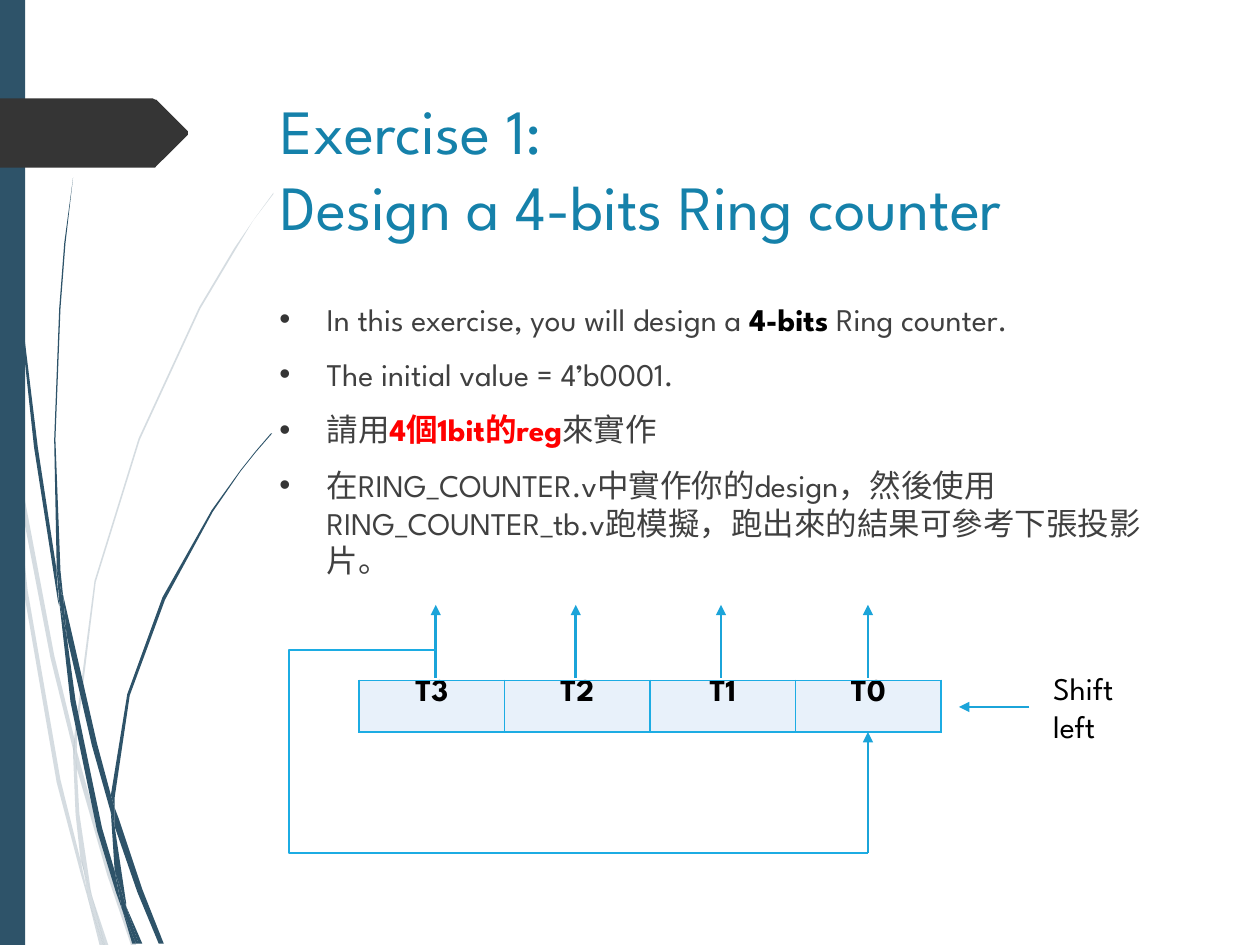
from pptx import Presentation as Deck
from pptx.dml.color import RGBColor as Rgb
from pptx.enum.shapes import MSO_CONNECTOR as Conn, MSO_SHAPE as Kind
from pptx.enum.text import PP_ALIGN as Align
from pptx.oxml.ns import qn
from pptx.util import Pt
from lxml.etree import SubElement as Sub

GRID = Pt(0.72)  # unit of the outline points below

# Outlines of the grass blades, "x,y" on the grid
PALE = [
    "8,350 6,322 0,282 0,299 7,344",
    "40,522 59,599 59,586 43,520 10,345 12,376",
    "64,607 61,596 61,610 85,694 104,750 108,750 88,692",
    "83,750 86,750 73,711",
    "64,683 48,619 22,469 12,376 8,350 19,470 45,621 64,693 70,714 69,707",
    "58,599 60,646 64,683 67,692 73,711 72,706 63,646 61,610 61,608",
    "61,584 76,462 111,349 159,245 187,198 201,175 217,154 217,153 201,175 "
    "186,197 158,244 110,348 75,461 59,584 59,586 61,596",
    "70,714 79,750 82,750",
    "61,608 61,610 61,596 59,586 58,599",
    "67,692 65,683 69,707 70,714 82,750 83,750 73,711",
]
DARK = [
    "5,110 14,233 27,355 46,477 47,481 45,457 45,453 30,355 15,232 6,109 "
    "4,48 3,0 2,0 3,48",
    "73,592 88,645 88,633 88,631 77,590 50,472 53,505",
    "94,649 91,641 91,656 109,708 126,749 130,749 113,706",
    "91,691 81,657 60,556 53,505 47,477 56,557 77,659 92,708 97,722 96,717",
    "50,472 48,453 44,349 48,245 52,193 58,141 51,193 47,245 43,349 45,449 "
    "49,472",
    "110,749 113,749 100,719",
    "47,477 53,505 50,472 49,472 45,449 45,453",
    "91,633 103,552 131,476 169,406 191,374 203,359 216,344 215,344 203,358 "
    "191,373 168,405 129,474 101,551 88,631 91,641",
    "97,722 105,749 108,749",
    "88,645 91,691 96,706 100,719 100,716 91,656 90,651",
    "88,645 90,651 91,656 91,641 88,631 88,633",
    "96,706 91,691 96,717 97,722 108,749 110,749 100,719",
]
TAG = "149,107 124,132 123,133 121,133 0,133 0,78 121,78 123,79 124,79 149,104"


def hue(code):
    return Rgb.from_string(code)


def put(obj, **vals):
    for name, val in vals.items():
        setattr(obj, name, val)


class Page:
    face = "League Spartan"
    blue, dark, ink = "1BA4D9", "2E5369", "353535"

    def __init__(self, slide):
        self.items = slide.shapes

    def paint(self, shape, code, alpha=None):
        shape.shadow.inherit = False
        shape.fill.solid()
        shape.fill.fore_color.rgb = hue(code)
        shape.line.fill.background()
        if alpha:
            clr = shape._element.spPr.find(".//" + qn("a:srgbClr"))
            Sub(clr, qn("a:alpha"), val=str(alpha * 1000))

    def bar(self, x, y, w, h, code):
        box = self.items.add_shape(Kind.RECTANGLE, Pt(x), Pt(y), Pt(w), Pt(h))
        self.paint(box, code)

    def shape(self, text, code, alpha=None, home=None):
        dots = [tuple(map(int, dot.split(","))) for dot in text.split()]
        pen = (home or self.items).build_freeform(*dots[0], scale=GRID)
        pen.add_line_segments(dots[1:], close=True)
        self.paint(pen.convert_to_shape(), code, alpha)

    def blades(self, texts, alpha=None):
        group = self.items.add_group_shape()
        for text in texts:
            self.shape(text, self.dark, alpha, group.shapes)

    def say(self, par, text, size, code="000000", bold=False):
        for num, part in enumerate(text.split("\n")):
            if num:
                par.add_line_break()
            run = par.add_run()
            run.text = part
            put(run.font, name=self.face, size=Pt(size), bold=bold)
            run.font.color.rgb = hue(code)

    def frame(self, x, y, w, h):
        box = self.items.add_textbox(Pt(x), Pt(y), Pt(w), Pt(h))
        box.text_frame.word_wrap = True
        return box.text_frame

    def label(self, x, y, w, h, text, size, code):
        self.say(self.frame(x, y, w, h).paragraphs[0], text, size, code)

    def points(self, x, y, w, h, rows):
        body = self.frame(x, y, w, h)
        for num, row in enumerate(rows):
            par = body.add_paragraph() if num else body.paragraphs[0]
            par.space_before = Pt(10)
            props = par._p.get_or_add_pPr()
            props.set("marL", str(Pt(27)))
            props.set("indent", str(Pt(-27)))
            Sub(Sub(props, qn("a:buClr")), qn("a:srgbClr"), val=self.ink)
            Sub(props, qn("a:buFont"), typeface="Arial")
            Sub(props, qn("a:buChar"), char="•")
            for text, code, bold in row:
                self.say(par, text, 18, code, bold)

    def table(self, x, y, w, h, names):
        spot = [Pt(v) for v in (x, y, w, h)]
        grid = self.items.add_table(1, len(names), *spot).table
        put(grid, first_row=False, horz_banding=False)
        for num, name in enumerate(names):
            cell = grid.cell(0, num)
            props = cell._tc.get_or_add_tcPr()
            for side in ("lnL", "lnR", "lnT", "lnB"):
                edge = Sub(props, qn("a:" + side), w=str(Pt(1)))
                Sub(Sub(edge, qn("a:solidFill")), qn("a:srgbClr"), val="1CACE3")
            cell.fill.solid()
            cell.fill.fore_color.rgb = hue("E8F1FA")
            put(cell, margin_top=0, margin_bottom=0)
            par = cell.text_frame.paragraphs[0]
            put(par, alignment=Align.CENTER, line_spacing=0.9)
            self.say(par, name, 18, bold=True)

    def line(self, x1, y1, x2, y2, kind=Conn.STRAIGHT, width=1.5, code=blue):
        wire = self.items.add_connector(kind, Pt(x1), Pt(y1), Pt(x2), Pt(y2))
        wire.line.width = Pt(width)
        wire.line.color.rgb = hue(code)
        Sub(wire._element.spPr, qn("a:effectLst"))
        return wire

    def arrow(self, *ends):
        edge = self.line(*ends)._element.spPr.find(qn("a:ln"))
        Sub(edge, qn("a:tailEnd"), type="triangle")

    def loop(self, x1, y1, x2, y2, bend):
        wire = self.line(x1, y1, x2, y2, Conn.ELBOW, 1.25, "1CACE3")
        stops = wire._element.spPr.find(".//" + qn("a:avLst"))
        Sub(stops, qn("a:gd"), name="adj1", fmla=f"val {round(bend * 100000)}")


def main():
    deck = Deck()
    put(deck, slide_width=Pt(720), slide_height=Pt(540))
    page = Page(deck.slides.add_slide(deck.slide_layouts[6]))

    # Side decoration
    page.blades(PALE, 20)
    page.blades(DARK)
    page.bar(0, 0, 14.4, 540, page.dark)
    page.shape(TAG, page.ink)

    # Title and task list
    page.label(153.4, 49, 519, 101,
               "Exercise 1:\nDesign a 4-bits Ring counter", 36, "1581AA")
    grey = "404040"
    page.points(152.6, 167.8, 519, 297, [
        [("In this exercise, you will design a ", grey, False),
         ("4-bits", "000000", True), (" Ring counter.", grey, False)],
        [("The initial value = 4’b0001.", grey, False)],
        [("請用", grey, False), ("4個1bit的reg", "FF0000", True),
         ("來實作", grey, False)],
        [("在RING_COUNTER.v中實作你的design，然後使用RING_COUNTER_tb.v跑模擬，"
          "跑出來的結果可參考下張投影片。", grey, False)],
    ])

    # Register with its outputs
    page.table(205.2, 388.8, 332.6, 29.5, ["T3", "T2", "T1", "T0"])
    outs = [249, 329, 412, 496]
    for x in outs:
        page.arrow(x, 387.4, x, 345.6)

    # Shift direction
    page.arrow(588.2, 404, 548, 404)
    page.label(594.7, 378.7, 71.3, 51, "Shift left", 18, "000000")

    # Feedback from T3 to T0
    page.loop(outs[0], 371.5, outs[-1], 487.5, -0.34)
    page.arrow(outs[-1], 487.5, outs[-1], 418.3)

    deck.save("out.pptx")


if __name__ == "__main__":
    main()
